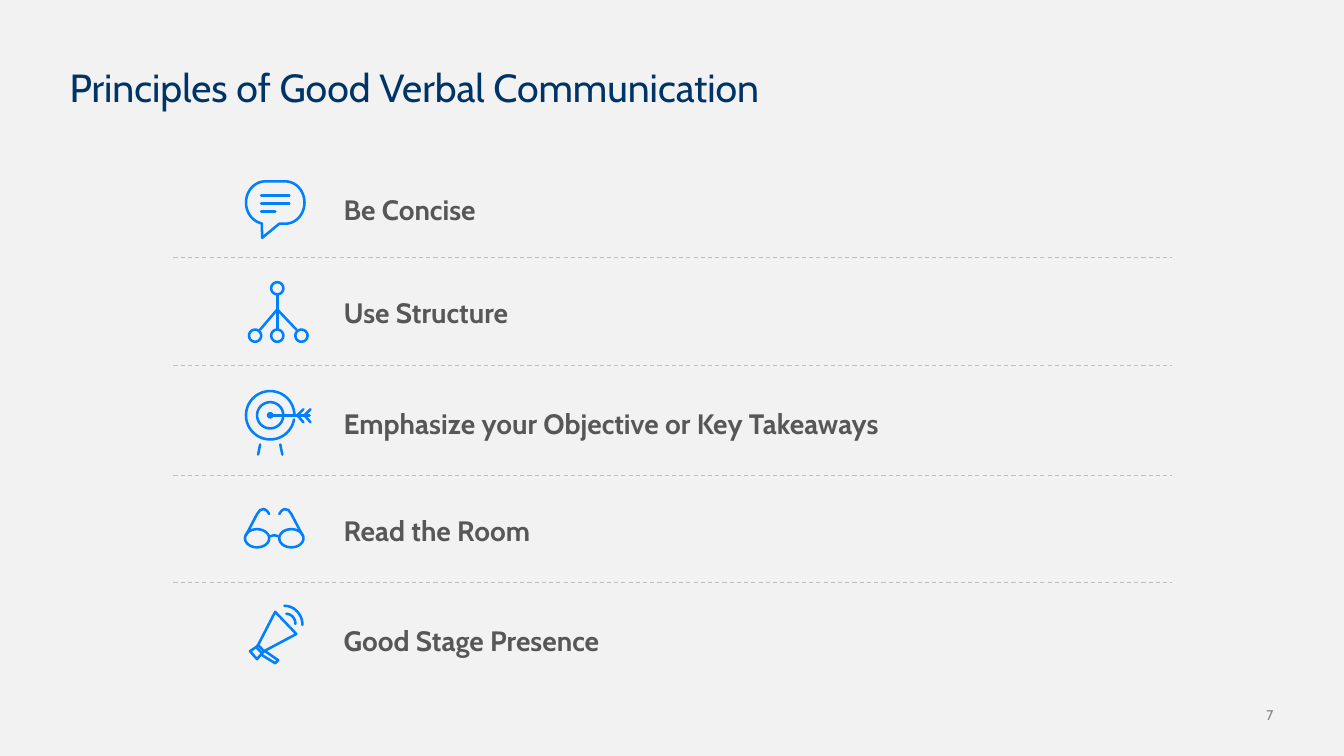
import math

from lxml import etree
from pptx import Presentation
from pptx import util as u
from pptx.dml import color
from pptx.enum import dml, shapes, text
from pptx.oxml import ns

COLORS = {
    "background": "F2F2F2",
    "title": "003466",
    "label": "575757",
    "divider": "BFBFBF",
    "icon": "007FFE",
    "number": "808080",
}
FONT = "Cabin"
ICON_LEFT, LABEL_LEFT, DIVIDER_LEFT, RIGHT = 2.42, 3.31, 1.72, 11.62
LABEL_HEIGHT = 0.78
ROW_TOPS = [1.69, 2.71, 3.81, 4.87, 5.96]
DIVIDER_TOPS = [2.55, 3.63, 4.72, 5.78]
TITLE_FORMAT = {"size": u.Pt(28), "name": FONT}
LABEL_FORMAT = {"size": u.Pt(20), "name": FONT, "bold": True}
NUMBER_FORMAT = {"size": u.Pt(10), "name": FONT}


def rgb(name):
    return color.RGBColor.from_string(COLORS[name])


def add_text(slide, box, words, font_format, color_name, frame_format, paragraph_format):
    shape = slide.shapes.add_textbox(*map(u.Inches, box))
    frame = shape.text_frame
    paragraph = frame.paragraphs[0]
    paragraph.text = words
    targets = (
        (frame, {"word_wrap": True, **frame_format}),
        (paragraph, paragraph_format),
        (paragraph.font, font_format),
    )
    for target, values in targets:
        for key, value in values.items():
            setattr(target, key, value)
    paragraph.font.color.rgb = rgb(color_name)


def arc(x, y, radius_x, radius_y, start=0, end=360):
    steps = max(8, abs(end - start) // 6)
    angles = [math.radians(start + (end - start) * i / steps) for i in range(steps + 1)]
    return [(x + radius_x * math.cos(a), y + radius_y * math.sin(a)) for a in angles]


def speech_bubble():
    outline = arc(0.41, 0.32, 0.19, 0.21, 90, -90) + arc(0.21, 0.32, 0.19, 0.21, 270, 100)
    tail = [(0.18, 0.67), (0.35, 0.53)]
    words = [[[(0.17, 0.25 + 0.08 * i), (end, 0.25 + 0.08 * i)]]
             for i, end in enumerate((0.45, 0.45, 0.31))]
    return [[outline + tail + outline[:1]], *words]


def tree():
    nodes = [arc(x, y, 0.06, 0.06) for x, y in
             ((0.33, 0.15), (0.11, 0.62), (0.33, 0.62), (0.57, 0.62))]
    return [nodes + [[(0.33, 0.21), (0.33, 0.56)],
                     [(0.16, 0.56), (0.33, 0.36), (0.52, 0.56)]]]


def target():
    rings = [arc(0.26, 0.31, r, r, 10, 360) for r in (0.24, 0.13)]
    center = [arc(0.26, 0.31, r, r) for r in (0.02, 0.01)]
    feathers = [[(x + 0.06, 0.25), (x, 0.31), (x + 0.06, 0.38)] for x in (0.53, 0.6)]
    shaft = [(0.27, 0.31), (0.65, 0.31)]
    legs = [[[(0.16, 0.6), (0.14, 0.7)]], [[(0.36, 0.6), (0.38, 0.7)]]]
    return [*legs, rings + center + feathers + [shaft]]


def glasses():
    lenses = [arc(x, 0.47, 0.12, 0.09) for x in (0.13, 0.47)]
    arm = [(0.02, 0.44), (0.13, 0.23), (0.16, 0.19), (0.2, 0.18), (0.23, 0.2), (0.25, 0.23)]
    mirrored_arm = [(0.6 - x, y) for x, y in arm]
    return [lenses + [arm, mirrored_arm, [(0.26, 0.45), (0.3, 0.44), (0.34, 0.45)]]]


def megaphone():
    cone = [(0.31, 0.11), (0.52, 0.33), (0.2, 0.5), (0.14, 0.44), (0.31, 0.11)]
    mouthpiece = [(0.06, 0.5), (0.12, 0.46), (0.18, 0.52), (0.13, 0.58), (0.06, 0.5)]
    handle = [(0.18, 0.54), (0.31, 0.62), (0.34, 0.59), (0.21, 0.5)]
    waves = [[arc(0.4, 0.24, 0.18, 0.19, -90, 0)], [arc(0.42, 0.23, 0.09, 0.1, -90, 0)]]
    joints = [[(0.12, 0.46), (0.14, 0.44)], [(0.18, 0.52), (0.2, 0.5)]]
    return [[cone, mouthpiece, handle, *joints], *waves]


def add_icon(slide, left, top, parts):
    container = slide.shapes
    if len(parts) > 1:
        container = slide.shapes.add_group_shape().shapes
    for strokes in parts:
        outlines = [[(u.Inches(left + x), u.Inches(top + y)) for x, y in stroke]
                    for stroke in strokes]
        builder = container.build_freeform(*outlines[0][0], scale=1.0)
        for index, points in enumerate(outlines):
            if index:
                builder.move_to(*points[0])
            builder.add_line_segments(points[1:], close=points[0] == points[-1])
        shape = builder.convert_to_shape()
        shape.shadow.inherit = False
        shape.fill.background()
        shape.line.color.rgb = rgb("icon")
        shape.line.width = u.Pt(1.8)
        shape.element.spPr.find(ns.qn("a:ln")).set("cap", "rnd")


def add_divider(slide, top):
    ends = map(u.Inches, (DIVIDER_LEFT, top, RIGHT, top))
    line = slide.shapes.add_connector(shapes.MSO_CONNECTOR.STRAIGHT, *ends)
    line.line.color.rgb = rgb("divider")
    line.line.width = u.Pt(0.75)
    line.line.dash_style = dml.MSO_LINE.DASH
    etree.SubElement(line.element.spPr, ns.qn("a:effectLst"))


def add_principle(slide, top, label, parts):
    add_icon(slide, ICON_LEFT, top, parts)
    add_text(slide, (LABEL_LEFT, top, RIGHT - LABEL_LEFT, LABEL_HEIGHT), label,
             LABEL_FORMAT, "label", {"vertical_anchor": text.MSO_ANCHOR.MIDDLE}, {})


def add_title_and_number(slide):
    no_margins = {f"margin_{side}": 0 for side in ("left", "top", "right", "bottom")}
    add_text(slide, (0.69, 0.68, 11.96, 0.42), "Principles of Good Verbal Communication",
             TITLE_FORMAT, "title", no_margins, {"line_spacing": 0.9})
    add_text(slide, (12.21, 7.01, 0.42, 0.17), "7", NUMBER_FORMAT, "number",
             {**no_margins, "vertical_anchor": text.MSO_ANCHOR.BOTTOM},
             {"alignment": text.PP_ALIGN.RIGHT})


def main():
    presentation = Presentation()
    presentation.slide_width = u.Inches(13.33)
    presentation.slide_height = u.Inches(7.5)
    slide = presentation.slides.add_slide(presentation.slide_layouts[6])
    slide.background.fill.solid()
    slide.background.fill.fore_color.rgb = rgb("background")
    add_title_and_number(slide)
    for top in DIVIDER_TOPS:
        add_divider(slide, top)
    principles = [
        ("Be Concise", speech_bubble()),
        ("Use Structure", tree()),
        ("Emphasize your Objective or Key Takeaways", target()),
        ("Read the Room", glasses()),
        ("Good Stage Presence", megaphone()),
    ]
    for top, (label, parts) in zip(ROW_TOPS, principles):
        add_principle(slide, top, label, parts)
    presentation.save("out.pptx")


if __name__ == "__main__":
    main()
